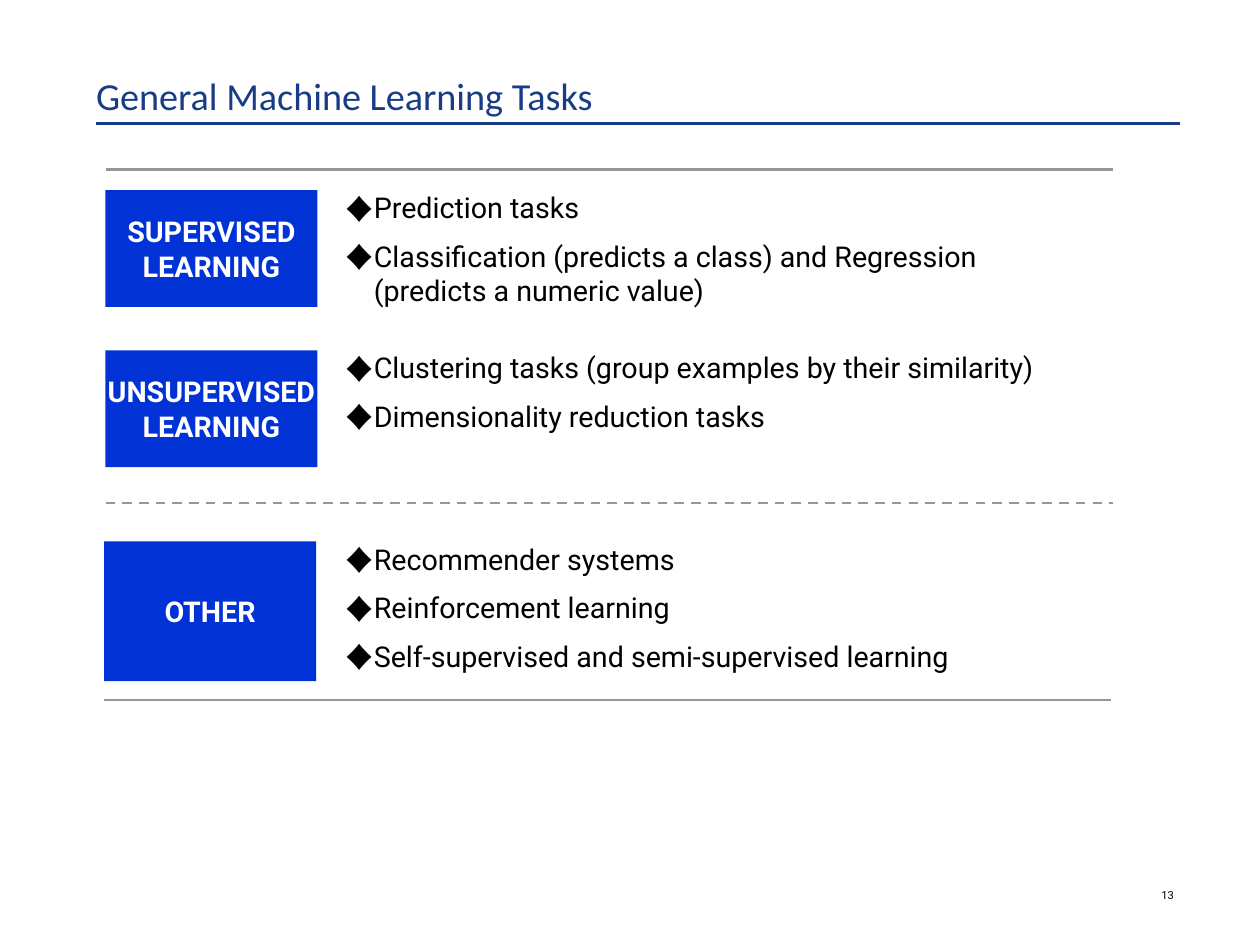
"""Build the slide on general machine learning tasks."""
from lxml.etree import SubElement
from pptx import Presentation
from pptx.dml.color import RGBColor
from pptx.enum.dml import MSO_LINE_DASH_STYLE as Dash
from pptx.enum.shapes import MSO_CONNECTOR, MSO_SHAPE
from pptx.enum.text import MSO_ANCHOR as Anchor, MSO_AUTO_SIZE as AutoSize, PP_ALIGN as Align
from pptx.oxml.ns import qn
from pptx.util import Cm, Pt

NAVY = RGBColor(0x19, 0x3D, 0x85)
BLUE = RGBColor(0x00, 0x32, 0xD6)
GREY = RGBColor(0x96, 0x96, 0x96)
WHITE = RGBColor(0xFF, 0xFF, 0xFF)
BLACK = RGBColor(0x00, 0x00, 0x00)

LABEL_WIDTH = 4.7
LIST_LEFT, LIST_WIDTH = 7.65, 15.47
RULE_WIDTH = 22.33

TASK_GROUPS = [
    ("SUPERVISED LEARNING", 2.34, 4.22, 2.59, 3.18, [
        "Prediction tasks",
        "Classification (predicts a class) and Regression (predicts a numeric value)",
    ]),
    ("UNSUPERVISED LEARNING", 2.34, 7.77, 2.59, 2.59, [
        "Clustering tasks (group examples by their similarity)",
        "Dimensionality reduction tasks",
    ]),
    ("OTHER", 2.31, 12.01, 3.1, 3.76, [
        "Recommender systems",
        "Reinforcement learning",
        "Self-supervised and semi-supervised learning",
    ]),
]


def place(shape, left, top, width, height):
    """Move and size a shape, in centimetres."""
    shape.left, shape.top = Cm(left), Cm(top)
    shape.width, shape.height = Cm(width), Cm(height)


def write(shape, *lines, size=18, font="Roboto", color=BLACK, bold=False,
          align=Align.LEFT, anchor=Anchor.TOP, wrap=True, bullet=None):
    """Fill a shape with one formatted paragraph per line."""
    frame = shape.text_frame
    frame.text = "\n".join(lines)
    frame.auto_size = AutoSize.NONE
    frame.word_wrap = wrap
    frame.vertical_anchor = anchor
    frame.margin_left = frame.margin_right = frame.margin_top = frame.margin_bottom = 0
    for index, paragraph in enumerate(frame.paragraphs):
        paragraph.alignment = align
        paragraph.space_before = Pt(9 if index else 0)
        text_font = paragraph.runs[0].font
        text_font.name, text_font.size, text_font.bold = font, Pt(size), bold
        text_font.color.rgb = color
        if bullet:
            add_bullet(paragraph, bullet, color)


def add_bullet(paragraph, character, color):
    """Give a paragraph a hanging bullet."""
    properties = paragraph._p.get_or_add_pPr()
    indent = Cm(0.64)
    properties.set("marL", str(indent))
    properties.set("indent", str(-indent))
    bullet_color = SubElement(properties, qn("a:buClr"))
    SubElement(bullet_color, qn("a:srgbClr"), val=str(color))
    SubElement(properties, qn("a:buFont"), typeface="Roboto")
    SubElement(properties, qn("a:buChar"), char=character)


def add_label(slide, text, left, top, height):
    """Add a blue box with a centred heading."""
    label = slide.shapes.add_shape(
        MSO_SHAPE.RECTANGLE, Cm(left), Cm(top), Cm(LABEL_WIDTH), Cm(height))
    label.shadow.inherit = False
    label.fill.solid()
    label.fill.fore_color.rgb = BLUE
    label.line.fill.background()
    write(label, text, color=WHITE, bold=True, align=Align.CENTER, anchor=Anchor.MIDDLE)


def add_rule(slide, left, top, width, color=GREY, dash=None):
    """Add a horizontal rule."""
    rule = slide.shapes.add_connector(
        MSO_CONNECTOR.STRAIGHT, Cm(left), Cm(top), Cm(left + width), Cm(top))
    rule.line.color.rgb = color
    rule.line.width = Pt(1.5)
    if dash:
        rule.line.dash_style = dash
    SubElement(rule._element.spPr, qn("a:effectLst"))


def main():
    """Build and save the slide."""
    presentation = Presentation()
    presentation.slide_width, presentation.slide_height = Cm(27.94), Cm(20.96)
    slide = presentation.slides.add_slide(
        presentation.slide_layouts.get_by_name("Comparison"))
    title, *bodies = slide.placeholders

    place(title, 2.13, 0, 24.03, 2.62)
    write(title, "General Machine Learning Tasks", size=24, font="Calibri",
          color=NAVY, anchor=Anchor.BOTTOM)
    add_rule(slide, 2.13, 2.74, 24.03, color=NAVY)

    for body, group in zip(bodies, TASK_GROUPS):
        heading, left, top, label_height, list_height, tasks = group
        add_label(slide, heading, left, top, label_height)
        place(body, LIST_LEFT, top, LIST_WIDTH, list_height)
        write(body, *tasks, bullet="♦")
    for spare in bodies[len(TASK_GROUPS):]:
        spare._element.getparent().remove(spare._element)

    add_rule(slide, 2.34, 3.76, RULE_WIDTH)
    add_rule(slide, 2.34, 11.15, RULE_WIDTH, dash=Dash.DASH)
    add_rule(slide, 2.31, 15.52, RULE_WIDTH)

    page_number = slide.shapes.add_textbox(Cm(24.89), Cm(18.97), Cm(1.14), Cm(1.04))
    write(page_number, "13", size=7, align=Align.RIGHT, anchor=Anchor.BOTTOM, wrap=False)
    presentation.save("out.pptx")


if __name__ == "__main__":
    main()
